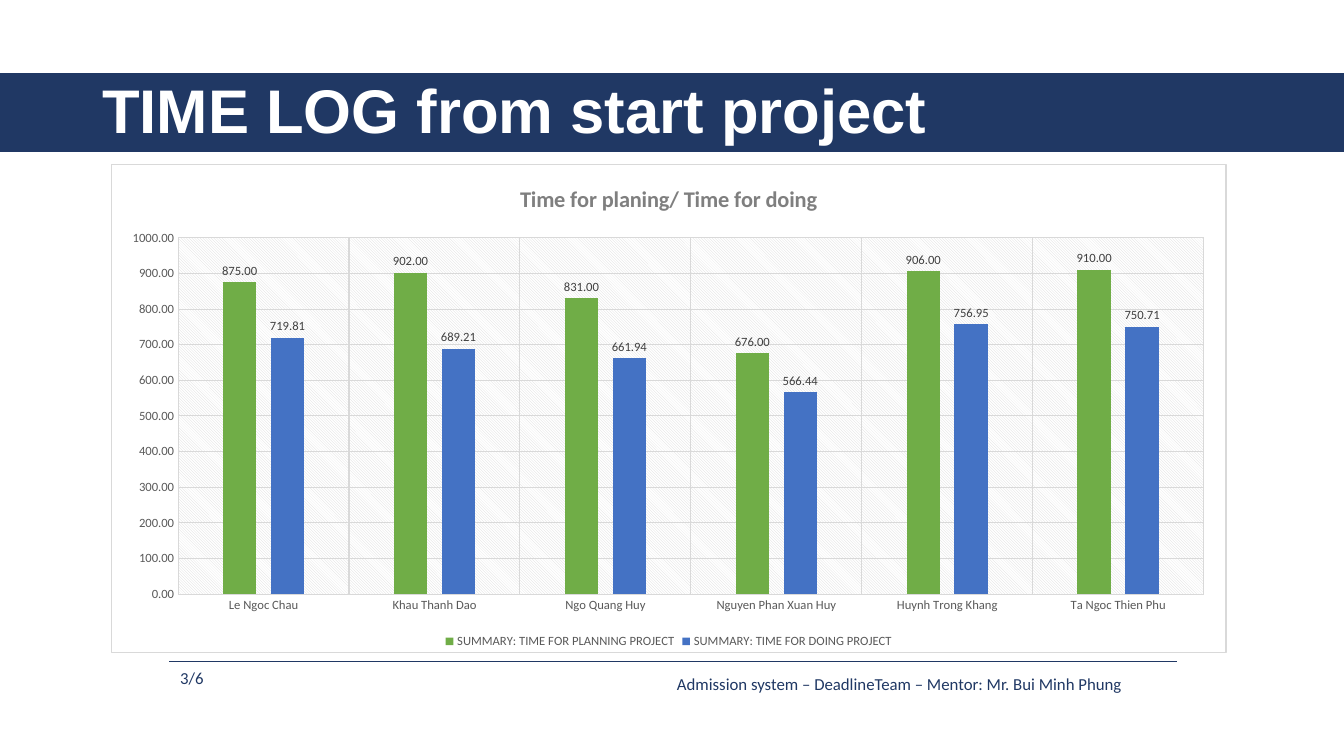
from lxml.etree import SubElement
from pptx import Presentation
from pptx.chart.data import CategoryChartData
from pptx.dml.color import RGBColor
from pptx.enum.chart import (XL_CHART_TYPE, XL_LABEL_POSITION,
                             XL_LEGEND_POSITION, XL_TICK_MARK)
from pptx.enum.shapes import MSO_CONNECTOR, MSO_SHAPE
from pptx.enum.text import MSO_ANCHOR
from pptx.oxml import parse_xml
from pptx.oxml.ns import nsdecls, qn
from pptx.util import Cm, Pt

NAVY = RGBColor(0x20, 0x38, 0x64)
WHITE = RGBColor(0xFF, 0xFF, 0xFF)
BLACK = RGBColor(0, 0, 0)
GREEN = RGBColor(0x70, 0xAD, 0x47)
BLUE = RGBColor(0x44, 0x72, 0xC4)
PALE = RGBColor(0xD9, 0xD9, 0xD9)
GRAY = RGBColor(0x7F, 0x7F, 0x7F)
SLATE = RGBColor(0x59, 0x59, 0x59)
DARK = RGBColor(0x40, 0x40, 0x40)

NAMES = ["Le Ngoc Chau", "Khau Thanh Dao", "Ngo Quang Huy",
         "Nguyen Phan Xuan Huy", "Huynh Trong Khang", "Ta Ngoc Thien Phu"]
SERIES = [
    ("SUMMARY: TIME FOR PLANNING PROJECT", GREEN,
     [875, 902, 831, 676, 906, 910]),
    ("SUMMARY: TIME FOR DOING PROJECT", BLUE,
     [719.81, 689.21, 661.94, 566.44, 756.95, 750.71]),
]


def style(font, size, color, name="Calibri", bold=False):
    font.size, font.name, font.bold = Pt(size), name, bold
    font.color.rgb = color


def write(frame, text, space=None, **form):
    para = frame.paragraphs[0]
    para.line_spacing = space
    run = para.add_run()
    run.text = text
    style(run.font, **form)


def stroke(line, color, width):
    line.color.rgb = color
    line.width = Pt(width)


class Page:
    def __init__(self, deck):
        self.shapes = deck.slides.add_slide(deck.slide_layouts[6]).shapes

    def band(self, x, y, w, h, color):
        box = self.shapes.add_shape(MSO_SHAPE.RECTANGLE,
                                    Cm(x), Cm(y), Cm(w), Cm(h))
        box.shadow.inherit = False
        box.fill.solid()
        box.fill.fore_color.rgb = color
        stroke(box.line, color, 1)

    def text(self, x, y, w, h, text, wrap=True, anchor=MSO_ANCHOR.TOP, **form):
        frame = self.shapes.add_textbox(Cm(x), Cm(y), Cm(w), Cm(h)).text_frame
        frame.word_wrap = wrap
        frame.vertical_anchor = anchor
        write(frame, text, **form)

    def rule(self, x, y, end, color, width):
        line = self.shapes.add_connector(MSO_CONNECTOR.STRAIGHT,
                                         Cm(x), Cm(y), Cm(end), Cm(y))
        stroke(line.line, color, width)
        SubElement(line.element.spPr, qn("a:effectLst"))

    def chart(self, x, y, w, h, title):
        data = CategoryChartData(number_format="0.00")
        data.categories = NAMES
        for name, _, vals in SERIES:
            data.add_series(name, vals)
        chart = self.shapes.add_chart(XL_CHART_TYPE.COLUMN_CLUSTERED, Cm(x),
                                      Cm(y), Cm(w), Cm(h), data).chart
        style(chart.font, 10, BLACK)
        write(chart.chart_title.text_frame, title,
              size=16, color=GRAY, bold=True)

        # Legend
        chart.has_legend = True
        chart.legend.position = XL_LEGEND_POSITION.BOTTOM
        chart.legend.include_in_layout = False
        style(chart.legend.font, 9, SLATE)

        # Axes and grid
        for axis in (chart.category_axis, chart.value_axis):
            axis.major_tick_mark = axis.minor_tick_mark = XL_TICK_MARK.NONE
            axis.has_major_gridlines = True
            stroke(axis.major_gridlines.format.line, PALE, 0.75)
            style(axis.tick_labels.font, 9, SLATE)
        stroke(chart.category_axis.format.line, PALE, 0.75)
        axis = chart.value_axis
        axis.format.line.fill.background()
        axis.minimum_scale, axis.maximum_scale, axis.major_unit = 0, 1000, 100
        axis.tick_labels.number_format = "0.00"
        axis.tick_labels.number_format_is_linked = False

        # Columns and their values
        plot = chart.plots[0]
        plot.gap_width, plot.overlap = 267, -43
        plot.vary_by_categories = False
        for series, (_, color, _) in zip(plot.series, SERIES):
            series.format.fill.solid()
            series.format.fill.fore_color.rgb = color
            labels = series.data_labels
            labels.show_value = True
            labels.position = XL_LABEL_POSITION.OUTSIDE_END
            labels.number_format = "0.00"
            labels.number_format_is_linked = False
            style(labels.font, 9, DARK)
        self.frame(chart.element.find(qn("c:chart")))

    def frame(self, root):
        # Chart border, hatched plot area and its place
        ns = nsdecls("c", "a")
        root.addnext(parse_xml(
            f'<c:spPr {ns}><a:solidFill><a:srgbClr val="{WHITE}"/>'
            f'</a:solidFill><a:ln w="{Pt(0.75)}"><a:solidFill>'
            f'<a:srgbClr val="{PALE}"/></a:solidFill></a:ln></c:spPr>'))
        area = root.find(qn("c:plotArea"))
        area.append(parse_xml(
            f'<c:spPr {ns}><a:pattFill prst="ltDnDiag">'
            f'<a:fgClr><a:srgbClr val="{PALE}"/></a:fgClr>'
            f'<a:bgClr><a:srgbClr val="{WHITE}"/></a:bgClr>'
            f'</a:pattFill><a:ln><a:noFill/></a:ln></c:spPr>'))
        for old in area.findall(qn("c:layout")):
            area.remove(old)
        place = "".join(f'<c:{key} val="{val}"/>' for key, val in (
            ("layoutTarget", "inner"), ("xMode", "edge"), ("yMode", "edge"),
            ("x", 0.06), ("y", 0.15), ("w", 0.92), ("h", 0.73)))
        area.insert(0, parse_xml(f'<c:layout {ns}><c:manualLayout>{place}'
                                 f'</c:manualLayout></c:layout>'))


def main():
    deck = Presentation()
    deck.slide_width, deck.slide_height = Cm(33.87), Cm(19.05)
    page = Page(deck)

    # Heading
    page.band(0, 1.85, 33.87, 1.96, NAVY)
    page.text(2.33, 1.02, 29.21, 3.68, "TIME LOG from start project",
              anchor=MSO_ANCHOR.MIDDLE, space=0.9, size=44, color=WHITE,
              name="Arial", bold=True)

    # Footer
    page.rule(4.27, 16.66, 29.67, NAVY, 0.5)
    page.text(16.81, 16.84, 12.9, 0.77,
              "Admission system – DeadlineTeam – Mentor: Mr. Bui Minh Phung",
              wrap=False, size=12, color=NAVY)
    page.text(4.29, 16.71, 1.3, 0.77, "3/6", size=12, color=NAVY)

    # Time log
    page.chart(2.79, 4.14, 28.12, 12.32, "Time for planing/ Time for doing")
    deck.save("out.pptx")


if __name__ == "__main__":
    main()
